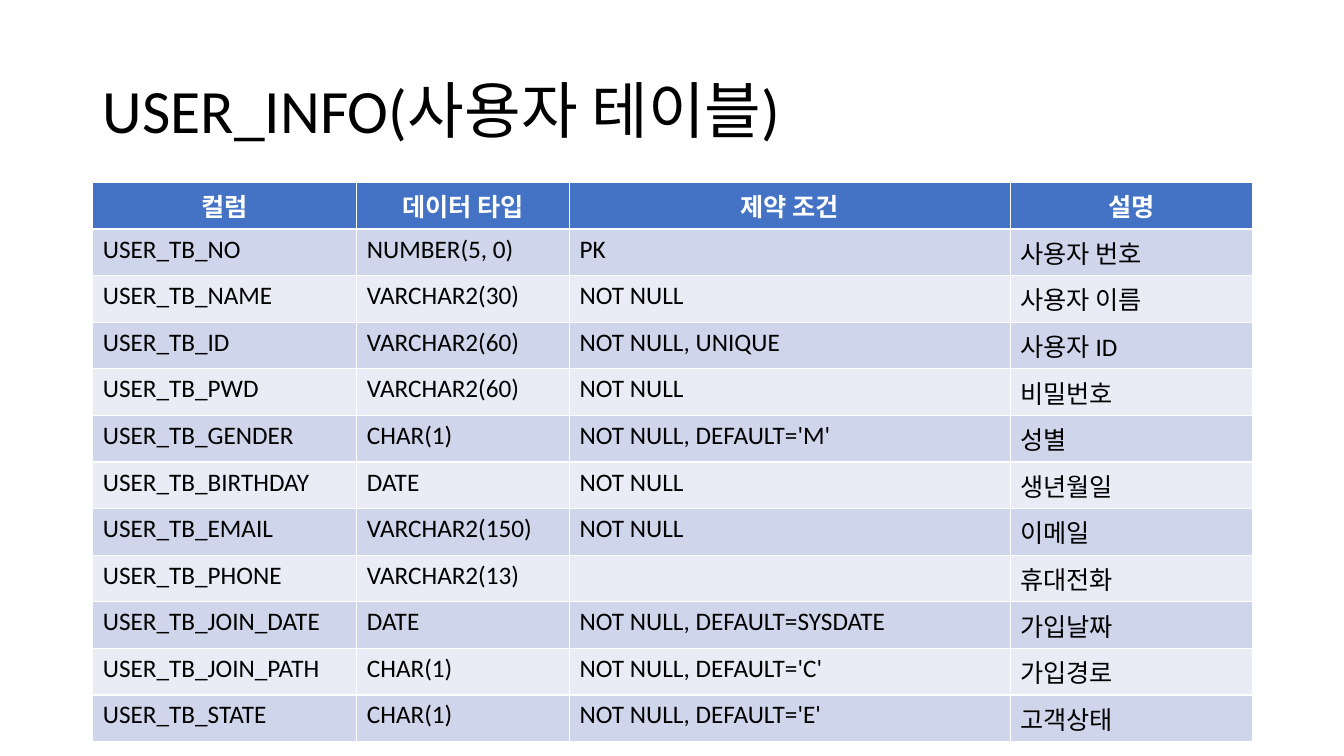
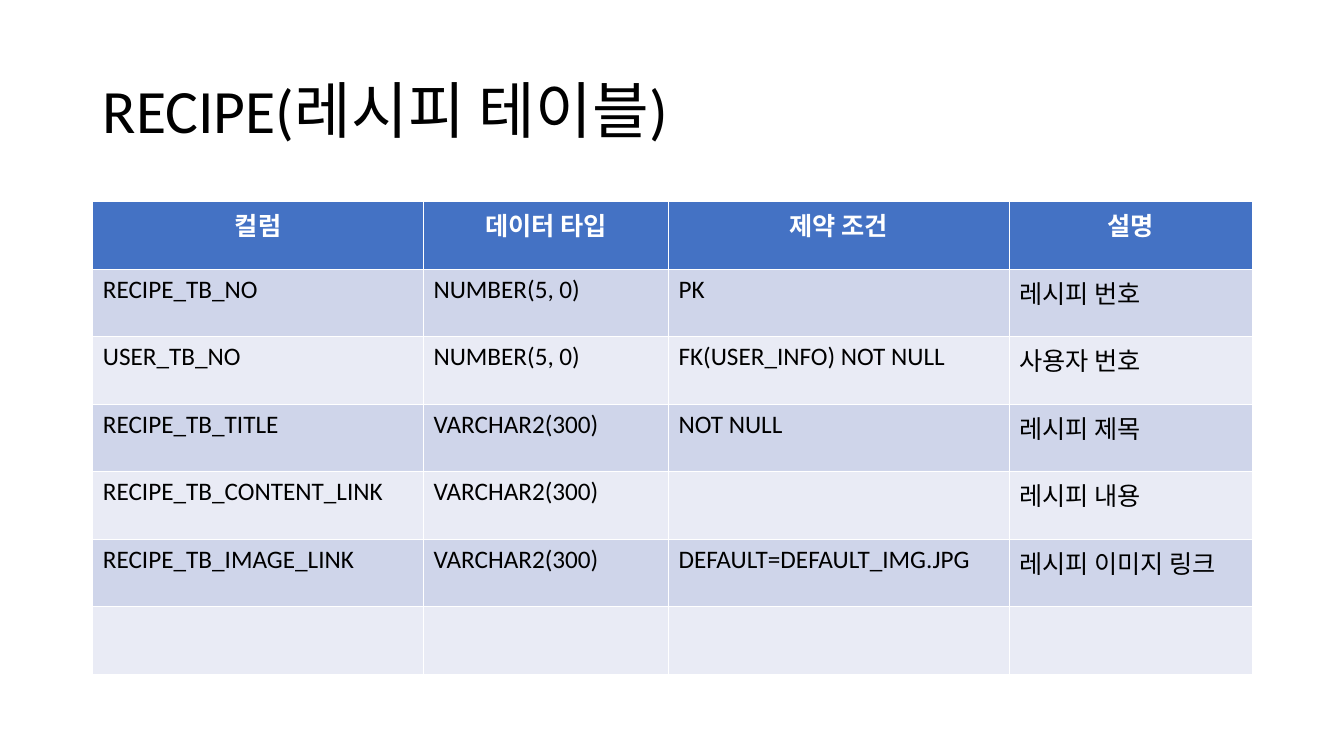
from dataclasses import dataclass

from pptx import Presentation
from pptx.dml.color import RGBColor
from pptx.enum.text import MSO_ANCHOR, PP_ALIGN
from pptx.slide import Slide, SlideLayout
from pptx.table import _Cell as Cell
from pptx.util import Inches, Pt


@dataclass(frozen=True)
class Theme:
    font: str = "Calibri"
    title_size: Pt = Pt(44)
    cell_size: Pt = Pt(18)
    ink: RGBColor = RGBColor(0x00, 0x00, 0x00)
    header_ink: RGBColor = RGBColor(0xFF, 0xFF, 0xFF)
    header_fill: RGBColor = RGBColor(0x44, 0x72, 0xC4)
    bands: tuple[RGBColor, RGBColor] = (
        RGBColor(0xCF, 0xD5, 0xEA),
        RGBColor(0xE9, 0xEB, 0xF5),
    )


@dataclass(frozen=True)
class Schema:
    """One database table; top, row_height and widths are in inches."""

    title: str
    top: float
    row_height: float
    widths: tuple[float, ...]
    columns: tuple[tuple[str, ...], ...]


THEME = Theme()
LEFT, CONTENT_WIDTH = 0.92, 11.5
TITLE_ONLY = 5
HEADINGS = ("컬럼", "데이터 타입", "제약 조건", "설명")

SCHEMAS = (
    Schema(
        "USER_INFO(사용자 테이블)", 1.81, 0.43, (2.62, 2.11, 4.37, 2.4),
        (
            ("USER_TB_NO", "NUMBER(5, 0)", "PK", "사용자 번호"),
            ("USER_TB_NAME", "VARCHAR2(30)", "NOT NULL", "사용자 이름"),
            ("USER_TB_ID", "VARCHAR2(60)", "NOT NULL, UNIQUE", "사용자 ID"),
            ("USER_TB_PWD", "VARCHAR2(60)", "NOT NULL", "비밀번호"),
            ("USER_TB_GENDER", "CHAR(1)", "NOT NULL, DEFAULT='M'", "성별"),
            ("USER_TB_BIRTHDAY", "DATE", "NOT NULL", "생년월일"),
            ("USER_TB_EMAIL", "VARCHAR2(150)", "NOT NULL", "이메일"),
            ("USER_TB_PHONE", "VARCHAR2(13)", "", "휴대전화"),
            ("USER_TB_JOIN_DATE", "DATE", "NOT NULL, DEFAULT=SYSDATE", "가입날짜"),
            ("USER_TB_JOIN_PATH", "CHAR(1)", "NOT NULL, DEFAULT='C'", "가입경로"),
            ("USER_TB_STATE", "CHAR(1)", "NOT NULL, DEFAULT='E'", "고객상태"),
        ),
    ),
    Schema(
        "RECIPE(레시피 테이블)", 2, 0.67, (3.28, 2.43, 3.38, 2.41),
        (
            ("RECIPE_TB_NO", "NUMBER(5, 0)", "PK", "레시피 번호"),
            ("USER_TB_NO", "NUMBER(5, 0)", "FK(USER_INFO) NOT NULL", "사용자 번호"),
            ("RECIPE_TB_TITLE", "VARCHAR2(300)", "NOT NULL", "레시피 제목"),
            ("RECIPE_TB_CONTENT_LINK", "VARCHAR2(300)", "", "레시피 내용"),
            ("RECIPE_TB_IMAGE_LINK", "VARCHAR2(300)", "DEFAULT=DEFAULT_IMG.JPG",
             "레시피 이미지 링크"),
            ("", "", "", ""),
        ),
    ),
)


def add_title(slide: Slide, text: str) -> None:
    title = slide.shapes.title
    title.left, title.top = Inches(LEFT), Inches(0.4)
    title.width, title.height = Inches(CONTENT_WIDTH), Inches(1.45)
    title.text_frame.vertical_anchor = MSO_ANCHOR.MIDDLE
    heading = title.text_frame.paragraphs[0]
    heading.text = text
    heading.alignment = PP_ALIGN.LEFT
    heading.line_spacing = 0.9
    heading.font.name = THEME.font
    heading.font.size = THEME.title_size
    heading.font.color.rgb = THEME.ink


def fill_cell(cell: Cell, text: str, row: int) -> None:
    is_header = row == 0
    cell.fill.solid()
    cell.fill.fore_color.rgb = (
        THEME.header_fill if is_header else THEME.bands[(row - 1) % 2]
    )
    entry = cell.text_frame.paragraphs[0]
    entry.text = text
    entry.alignment = PP_ALIGN.CENTER if is_header else PP_ALIGN.LEFT
    entry.font.name = THEME.font
    entry.font.size = THEME.cell_size
    entry.font.bold = is_header
    entry.font.color.rgb = THEME.header_ink if is_header else THEME.ink


def add_schema_table(slide: Slide, schema: Schema) -> None:
    rows = (HEADINGS, *schema.columns)
    table = slide.shapes.add_table(
        len(rows), len(HEADINGS), Inches(LEFT), Inches(schema.top),
        Inches(CONTENT_WIDTH), Inches(schema.row_height * len(rows)),
    ).table
    for column, width in zip(table.columns, schema.widths):
        column.width = Inches(width)
    for row, texts in enumerate(rows):
        table.rows[row].height = Inches(schema.row_height)
        for column, text in enumerate(texts):
            fill_cell(table.cell(row, column), text, row)


def add_schema_slide(deck: Presentation, layout: SlideLayout, schema: Schema) -> None:
    slide = deck.slides.add_slide(layout)
    add_title(slide, schema.title)
    add_schema_table(slide, schema)


def main() -> None:
    deck = Presentation()
    deck.slide_width, deck.slide_height = Inches(13.33), Inches(7.5)
    for schema in SCHEMAS:
        add_schema_slide(deck, deck.slide_layouts[TITLE_ONLY], schema)
    deck.save("out.pptx")


if __name__ == "__main__":
    main()
